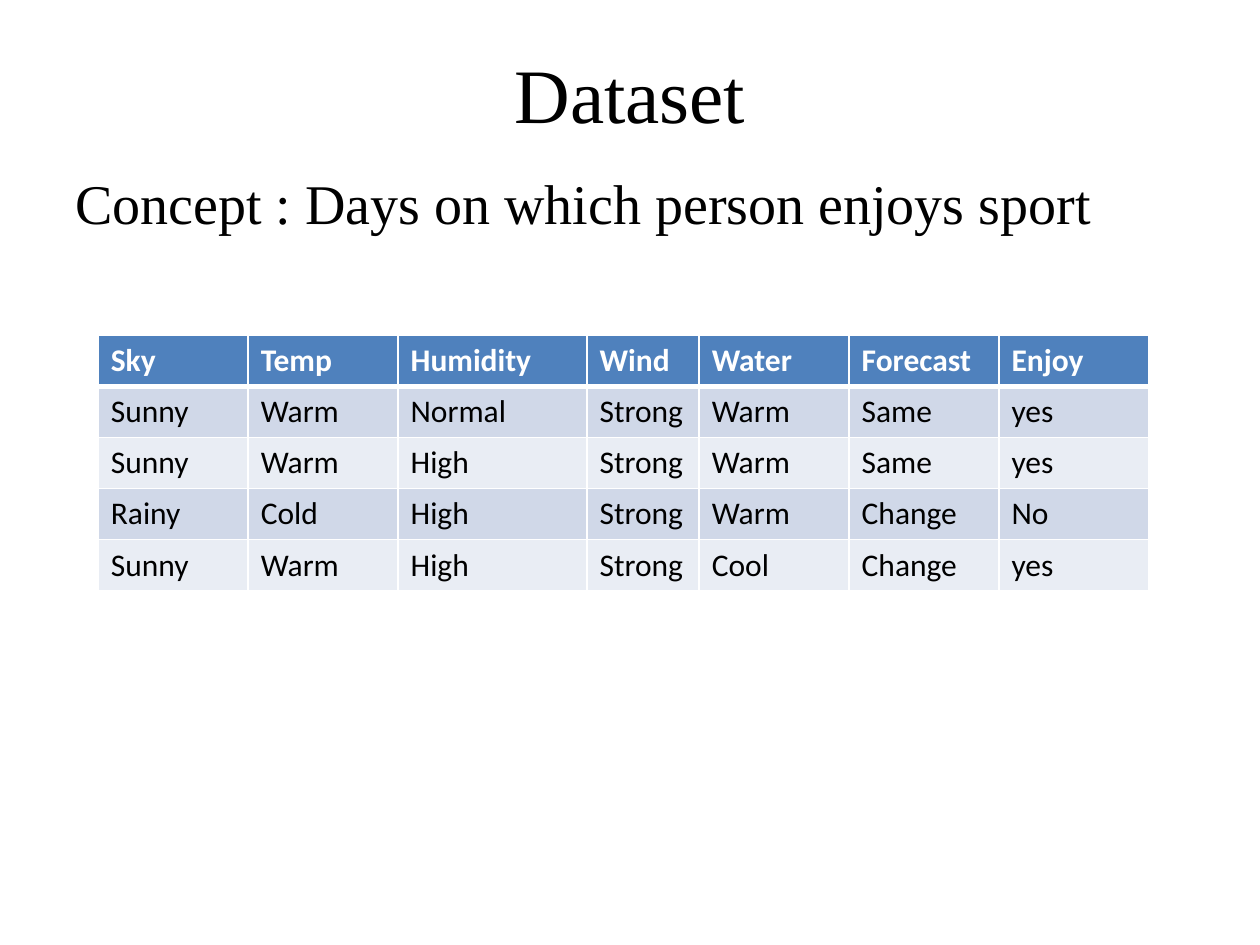
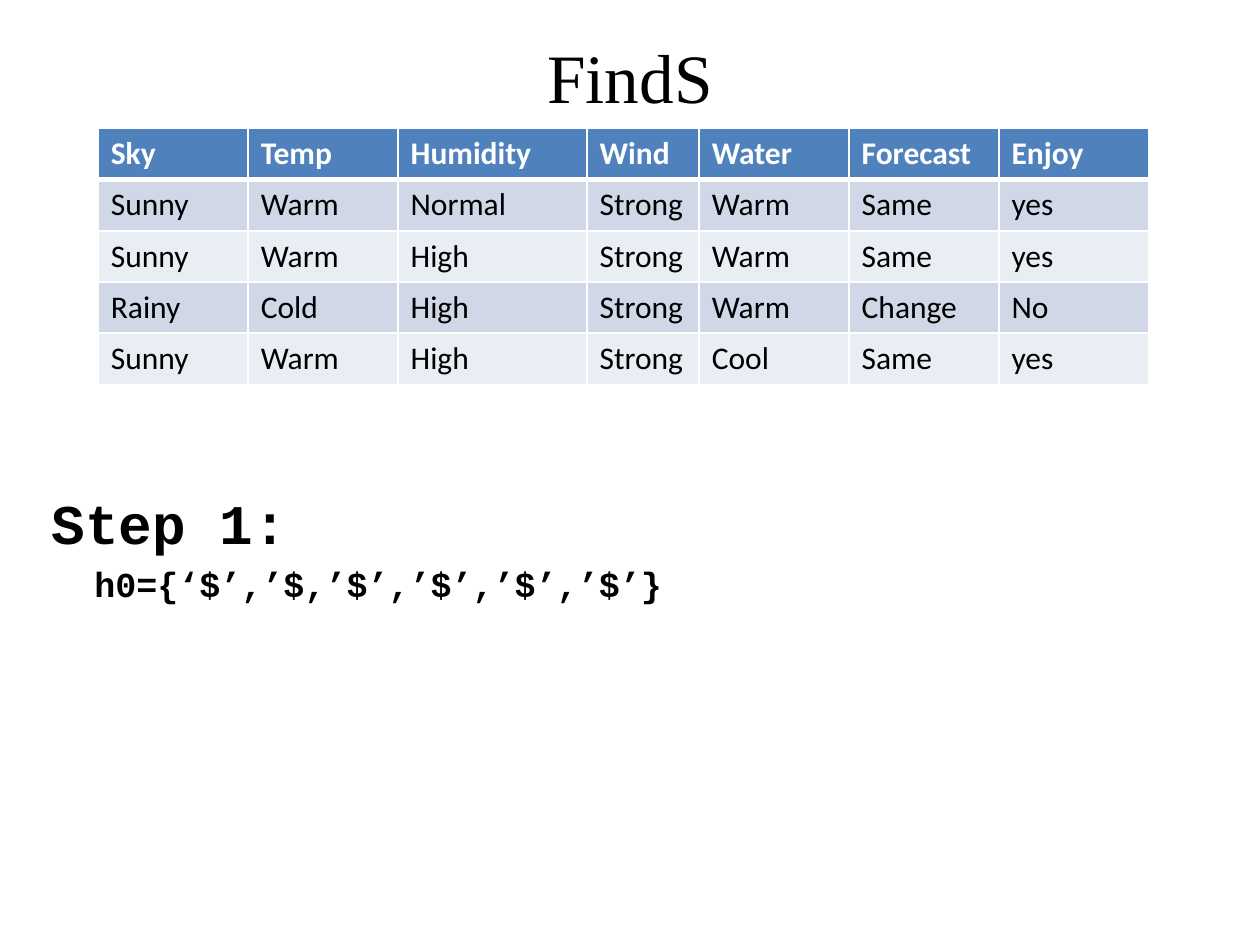
from lxml import etree
from pptx import Presentation
from pptx.dml.color import RGBColor
from pptx.enum.text import MSO_ANCHOR, PP_ALIGN
from pptx.oxml.ns import qn
from pptx.util import Inches, Pt

CENTER, LEFT = PP_ALIGN.CENTER, PP_ALIGN.LEFT
MIDDLE = MSO_ANCHOR.MIDDLE
COLORS = {
    "ink": "000000",
    "paper": "FFFFFF",
    "header": "4F81BD",
    "odd_row": "D0D8E8",
    "even_row": "E9EDF4",
}
SERIF, SANS, MONO = "Times New Roman", "Calibri", "Courier New"
TITLE_ONLY = 5

COLUMN_WIDTHS = [1.19, 1.19, 1.5, 0.89, 1.19, 1.19, 1.19]
ATTRIBUTES = ["Sky", "Temp", "Humidity", "Wind", "Water", "Forecast", "Enjoy"]
SHARED_DAYS = [
    ["Sunny", "Warm", "Normal", "Strong", "Warm", "Same", "yes"],
    ["Sunny", "Warm", "High", "Strong", "Warm", "Same", "yes"],
    ["Rainy", "Cold", "High", "Strong", "Warm", "Change", "No"],
]

PAGES = [
    {
        "title": "Dataset", "title_size": 44, "title_box": (0.5, 0.3, 9, 0.87),
        "table_top": 2.66, "last_forecast": "Change",
        "body_box": (0.5, 1.29, 9, 0.7),
        "body": [("Concept : Days on which person enjoys sport", 32, SERIF, False, 0, 0)],
    },
    {
        "title": "FindS", "title_size": 39.6, "title_box": (0.5, 0.22, 9, 0.76),
        "table_top": 1.02, "last_forecast": "Same",
        "body_box": (0.31, 3.83, 9.19, 1.1),
        "body": [
            ("Step 1:", 32, MONO, True, 0, 0),
            ("h0={‘$’,’$,’$’,’$’,’$’,’$’}", 20, MONO, True, 0.34, 4),
        ],
    },
]


def write(paragraph, text, color, align=LEFT, **font_values):
    paragraph.alignment = align
    run = paragraph.add_run()
    run.text = text
    run.font.color.rgb = RGBColor.from_string(COLORS[color])
    for attribute, value in font_values.items():
        setattr(run.font, attribute, value)


def add_border(cell, side, points):
    line = etree.SubElement(cell._tc.get_or_add_tcPr(), qn(f"a:ln{side}"), w=str(Pt(points)))
    fill = etree.SubElement(line, qn("a:solidFill"))
    etree.SubElement(fill, qn("a:srgbClr"), val=COLORS["paper"])


deck = Presentation()
deck.slide_width, deck.slide_height = Inches(10), Inches(7.5)

for page in PAGES:
    slide = deck.slides.add_slide(deck.slide_layouts[TITLE_ONLY])

    heading = slide.shapes.title
    heading.left, heading.top, heading.width, heading.height = map(Inches, page["title_box"])
    heading.text_frame.vertical_anchor = MIDDLE
    write(heading.text_frame.paragraphs[0], page["title"], "ink", CENTER,
          name=SERIF, size=Pt(page["title_size"]), bold=False)

    body = slide.shapes.add_textbox(*map(Inches, page["body_box"])).text_frame
    body.word_wrap = True
    for index, (text, size, font, bold, indent, gap) in enumerate(page["body"]):
        paragraph = body.add_paragraph() if index else body.paragraphs[0]
        paragraph.space_before = Pt(gap)
        paragraph._p.get_or_add_pPr().set("marL", str(Inches(indent)))
        write(paragraph, text, "ink", name=font, size=Pt(size), bold=bold)

    last_day = ["Sunny", "Warm", "High", "Strong", "Cool", page["last_forecast"], "yes"]
    days = [ATTRIBUTES, *SHARED_DAYS, last_day]
    table = slide.shapes.add_table(
        len(days), len(ATTRIBUTES), Inches(0.78), Inches(page["table_top"]),
        Inches(sum(COLUMN_WIDTHS)), Inches(2.03)).table
    for column, width in zip(table.columns, COLUMN_WIDTHS):
        column.width = Inches(width)

    for row, day in enumerate(days):
        is_header = row == 0
        band = "header" if is_header else "odd_row" if row % 2 else "even_row"
        borders = {"L": 1, "R": 1, "T": 3 if row == 1 else 1, "B": 3 if is_header else 1}
        for column, value in enumerate(day):
            cell = table.cell(row, column)
            for side, points in borders.items():
                add_border(cell, side, points)
            cell.fill.solid()
            cell.fill.fore_color.rgb = RGBColor.from_string(COLORS[band])
            write(cell.text_frame.paragraphs[0], value, "paper" if is_header else "ink",
                  name=SANS, size=Pt(18), bold=is_header)

deck.save("out.pptx")
